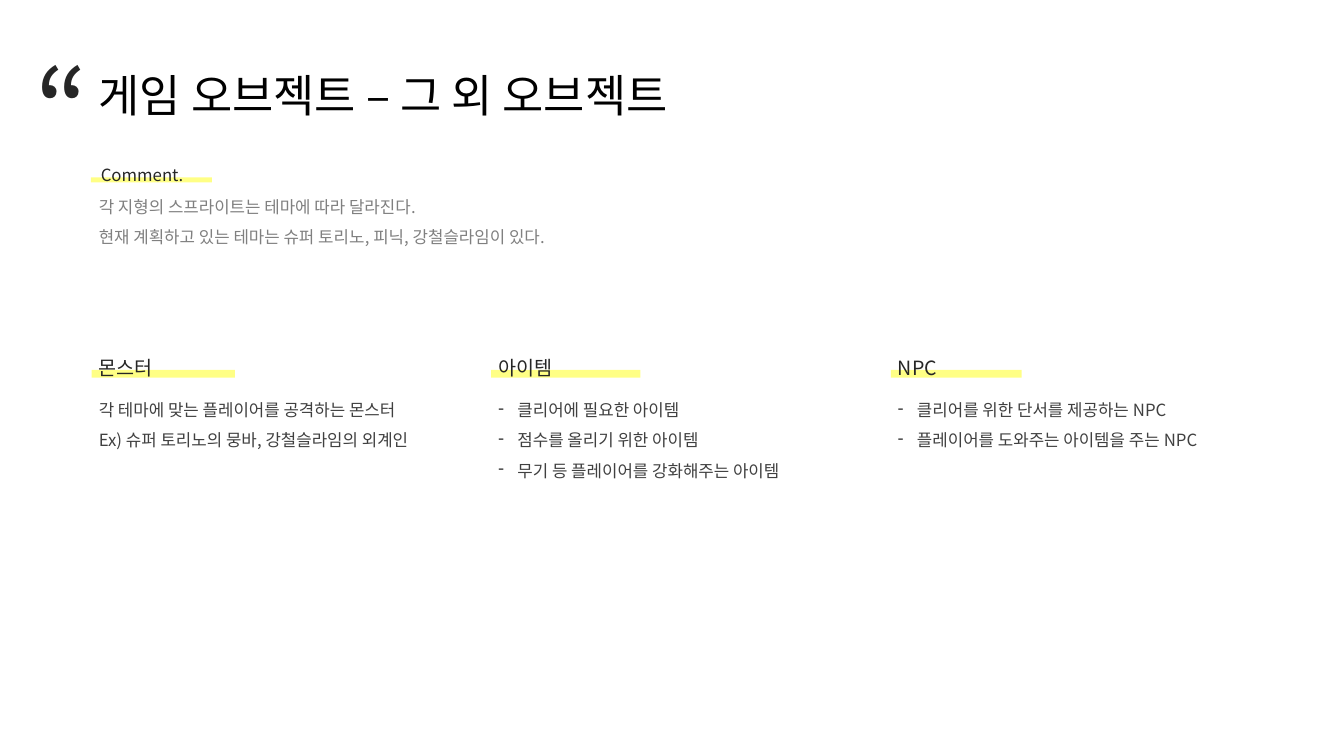
from lxml.etree import SubElement
from pptx import Presentation
from pptx.dml.color import RGBColor as RGB
from pptx.enum.shapes import MSO_SHAPE as Shape
from pptx.enum.text import MSO_AUTO_SIZE as Fit
from pptx.oxml.ns import qn
from pptx.util import Cm, Pt

BLACK = RGB(0x00, 0x00, 0x00)
INK = RGB(0x26, 0x26, 0x26)
DARK = RGB(0x40, 0x40, 0x40)
GREY = RGB(0x80, 0x80, 0x80)
YELLOW = RGB(0xFF, 0xFF, 0x00)

LEFT, STEP = 2.24, 10.07
COLUMNS = [
    ("몬스터", 3.61, 1.7, False, [
        "각 테마에 맞는 플레이어를 공격하는 몬스터",
        "Ex) 슈퍼 토리노의 뭉바, 강철슬라임의 외계인"]),
    ("아이템", 3.76, 3.25, True, [
        "클리어에 필요한 아이템",
        "점수를 올리기 위한 아이템",
        "무기 등 플레이어를 강화해주는 아이템"]),
    ("NPC", 3.3, 2.49, True, [
        "클리어를 위한 단서를 제공하는 NPC",
        "플레이어를 도와주는 아이템을 주는 NPC"]),
]
COMMENT = [
    "각 지형의 스프라이트는 테마에 따라 달라진다.",
    "현재 계획하고 있는 테마는 슈퍼 토리노, 피닉, 강철슬라임이 있다.",
]


class Page:
    font = "Noto Sans CJK KR"

    def __init__(self, slide):
        self.shapes = slide.shapes

    def text(self, box, lines, size, color, space=1.5, dash=False):
        frame = self.shapes.add_textbox(*map(Cm, box)).text_frame
        frame.word_wrap = True
        frame.auto_size = Fit.SHAPE_TO_FIT_TEXT
        for i, line in enumerate(lines):
            para = frame.add_paragraph() if i else frame.paragraphs[0]
            para.line_spacing = space
            if dash:
                self.dash(para)
            run = para.add_run()
            run.text = line
            run.font.size = Pt(size)
            run.font.color.rgb = color
            run.font.name = self.font
            SubElement(run.font._element, qn("a:ea"), typeface=self.font)

    def dash(self, para):
        """Give the paragraph a hanging dash bullet."""
        props = para._p.get_or_add_pPr()
        props.set("marL", str(Cm(0.48)))
        props.set("indent", str(-Cm(0.48)))
        SubElement(props, qn("a:buChar"), char="-")

    def marker(self, *box):
        """Draw a see-through highlighter bar."""
        bar = self.shapes.add_shape(Shape.RECTANGLE, *map(Cm, box))
        bar.shadow.inherit = False
        bar.line.fill.background()
        bar.fill.solid()
        bar.fill.fore_color.rgb = YELLOW
        tint = bar._element.spPr.find(".//" + qn("a:srgbClr"))
        SubElement(tint, qn("a:alpha"), val="48000")


def main():
    deck = Presentation()
    deck.slide_width, deck.slide_height = Cm(33.87), Cm(19.05)
    page = Page(deck.slides.add_slide(deck.slide_layouts[6]))

    page.text((LEFT, 1.57, 16.71, 1.63),
              ["게임 오브젝트 – 그 외 오브젝트"], 32, BLACK, 1.0)
    page.text((0.64, 0.89, 2.11, 3.68), ["“"], 80, INK, 1.0)

    page.marker(2.29, 4.47, 3.05, 0.13)
    page.text((2.29, 3.78, 7.7, 0.94), ["Comment."], 12, INK)
    page.text((LEFT, 4.57, 11.76, 1.7), COMMENT, 12, GREY)

    for i, (head, width, height, dash, lines) in enumerate(COLUMNS):
        x = LEFT + i * STEP
        page.text((x, 9.7, 8.33, height), lines, 12, DARK, dash=dash)
        page.marker(x + 0.07, 9.32, width, 0.2)
        page.text((x, 8.56, 8.1, 1.07), [head], 14, INK)

    deck.save("out.pptx")


if __name__ == "__main__":
    main()
